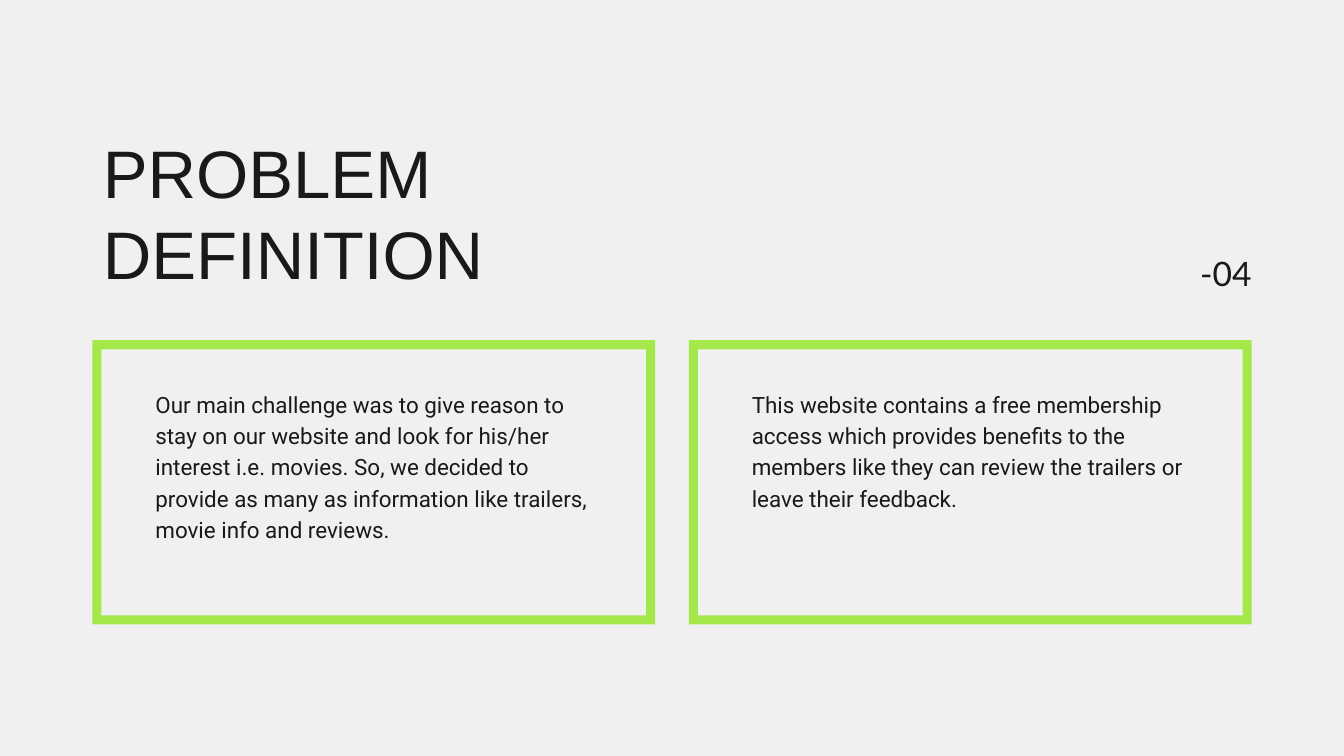
from dataclasses import dataclass

from pptx import Presentation
from pptx.dml.color import RGBColor
from pptx.enum import shapes, text
from pptx.util import Emu, Pt

PX = 9525  # EMU in one px, 96 px to the inch


@dataclass(frozen=True)
class Theme:
    back: str = "F0F0F0"
    ink: str = "191919"
    lime: str = "A4E84C"
    title: tuple = ("Arial", 72, 86.4)  # font, size, line pitch
    body: tuple = ("Roboto", 24, 33.6)
    page: tuple = ("Lato", 36, 43.2)


THEME = Theme()


def px(*nums):
    return [Emu(n * PX) for n in nums]


def paint(fill, tone):
    fill.solid()
    fill.fore_color.rgb = RGBColor.from_string(tone)


def write(slide, box, words, style, align=text.PP_ALIGN.LEFT):
    frame = slide.shapes.add_textbox(*px(*box)).text_frame
    frame.word_wrap = True
    frame.auto_size = text.MSO_AUTO_SIZE.NONE
    frame.margin_left = frame.margin_right = 0
    frame.margin_top = frame.margin_bottom = 0
    face, size, pitch = style
    para = frame.paragraphs[0]
    para.text = words
    para.alignment = align
    para.line_spacing = Pt(pitch)
    para.font.name = face
    para.font.size = Pt(size)
    para.font.color.rgb = RGBColor.from_string(THEME.ink)


def header(slide, box, title, page):
    x, y, w, h = box
    # Title
    write(slide, (x + 15, y, 931, h), title, THEME.title)
    # Page number, flush with the right edge
    write(slide, (x + w - 160, y + 173, 160, 57), page, THEME.page,
          text.PP_ALIGN.RIGHT)


def card(slide, box, words):
    x, y, w, h = box
    # Thick border
    edge = slide.shapes.add_shape(shapes.MSO_SHAPE.FRAME, *px(*box))
    edge.adjustments[0] = 13 / h
    edge.shadow.inherit = False
    paint(edge.fill, THEME.lime)
    edge.line.fill.background()
    # Body text
    write(slide, (x + 90, y + 66, w - 180, h - 132), words, THEME.body)


def main():
    deck = Presentation()
    deck.slide_width, deck.slide_height = px(1920, 1080)
    slide = deck.slides.add_slide(deck.slide_layouts[6])
    paint(slide.background.fill, THEME.back)

    left, wide, gap = 132, 1656, 48
    header(slide, (left, 188, wide, 230), "PROBLEM DEFINITION", "-04")

    # Row of equal cards
    notes = (
        "Our main challenge was to give reason to stay on our website and "
        "look for his/her interest i.e. movies. So, we decided to provide as "
        "many as information like trailers, movie info and reviews.",
        "This website contains a free membership access which provides "
        "benefits to the members like they can review the trailers or leave "
        "their feedback.",
    )
    span = (wide - gap) // 2
    for i, words in enumerate(notes):
        card(slide, (left + i * (span + gap), 486, span, 406), words)

    deck.save("out.pptx")


if __name__ == "__main__":
    main()
